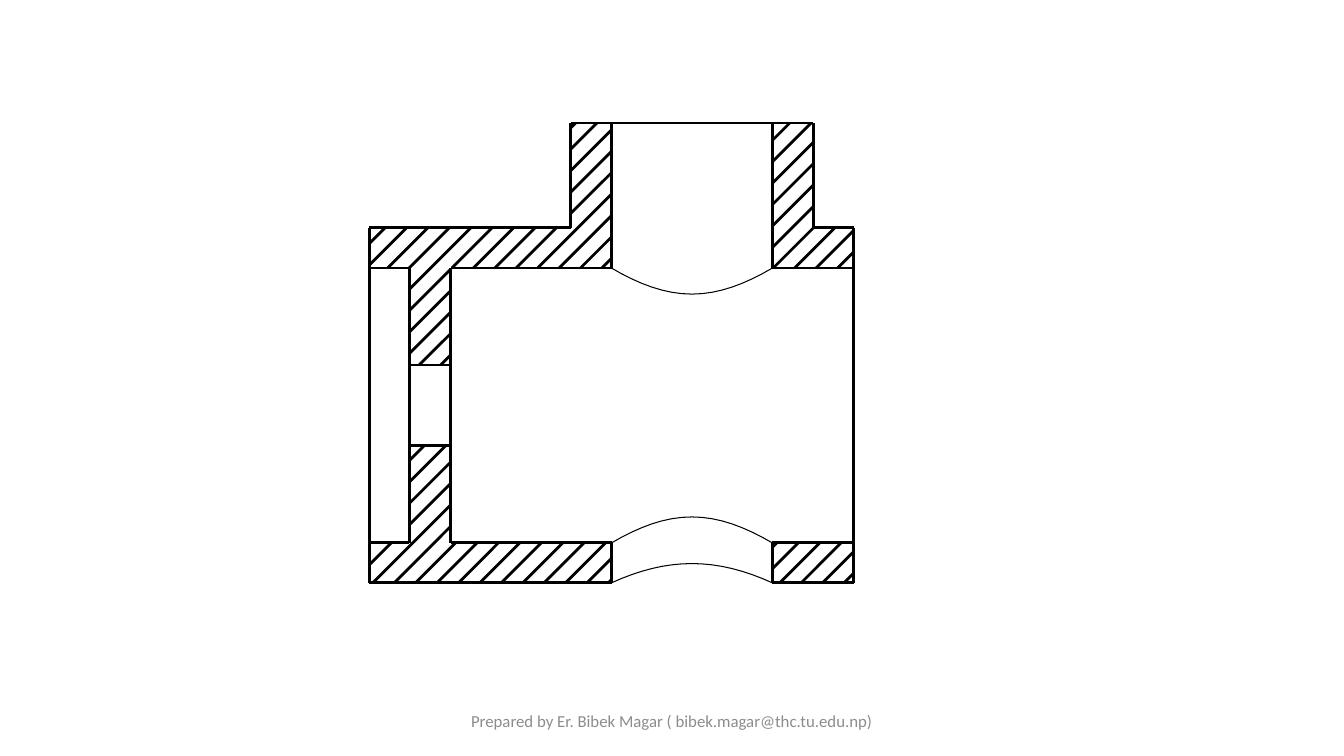
from dataclasses import dataclass
from itertools import pairwise
from math import sqrt

from lxml import etree
from pptx import Presentation
from pptx.dml.color import RGBColor
from pptx.enum.shapes import MSO_CONNECTOR
from pptx.enum.text import MSO_ANCHOR, PP_ALIGN
from pptx.oxml.ns import qn
from pptx.slide import Slide
from pptx.util import Pt

STRAIGHT = MSO_CONNECTOR.STRAIGHT
MIDDLE = MSO_ANCHOR.MIDDLE
CENTER = PP_ALIGN.CENTER

Point = tuple[float, float]


@dataclass(frozen=True)
class Theme:
    ink: RGBColor = RGBColor(0x00, 0x00, 0x00)
    footer: RGBColor = RGBColor(0x8C, 0x8C, 0x8C)
    font: str = "Calibri"
    footer_size: float = 12
    line_width: float = 0


@dataclass(frozen=True)
class Curve:
    """Edge where the port meets the bore; its ends lie at end_y."""
    end_y: float


THEME = Theme()

# Vertical faces, left to right
BODY_L, WEB_L, WEB_R = 263.7, 292.5, 321.8
PORT_L, BORE_L, BORE_R, PORT_R, BODY_R = 407.7, 436.8, 551.7, 581, 609.8
# Horizontal faces, top to bottom
PORT_TOP, BODY_TOP, CAVITY_TOP = 87.9, 162.7, 191.5
HOLE_TOP, HOLE_BOTTOM = 260.7, 318
CAVITY_BOTTOM, BODY_BOTTOM = 387.8, 416.3

# Cut sections: each path starts and ends on an outer wall of the body
SECTIONS: list[list[Point]] = [
    [(BODY_L, CAVITY_TOP), (WEB_L, CAVITY_TOP), (WEB_L, HOLE_TOP),
     (WEB_R, HOLE_TOP), (WEB_R, CAVITY_TOP), (BORE_L, CAVITY_TOP),
     (BORE_L, PORT_TOP), (PORT_L, PORT_TOP), (PORT_L, BODY_TOP),
     (BODY_L, BODY_TOP)],
    [(BODY_L, CAVITY_BOTTOM), (WEB_L, CAVITY_BOTTOM), (WEB_L, HOLE_BOTTOM),
     (WEB_R, HOLE_BOTTOM), (WEB_R, CAVITY_BOTTOM), (BORE_L, CAVITY_BOTTOM),
     (BORE_L, BODY_BOTTOM), (BODY_L, BODY_BOTTOM)],
    [(BODY_R, BODY_TOP), (PORT_R, BODY_TOP), (PORT_R, PORT_TOP),
     (BORE_R, PORT_TOP), (BORE_R, CAVITY_TOP), (BODY_R, CAVITY_TOP)],
    [(BODY_R, CAVITY_BOTTOM), (BORE_R, CAVITY_BOTTOM),
     (BORE_R, BODY_BOTTOM), (BODY_R, BODY_BOTTOM)],
]

VISIBLE_EDGES: list[tuple[Point, Point]] = [
    ((BODY_L, BODY_TOP), (BODY_L, BODY_BOTTOM)),
    ((BODY_R, BODY_TOP), (BODY_R, BODY_BOTTOM)),
    ((BORE_L, PORT_TOP), (BORE_R, PORT_TOP)),
    ((WEB_L, HOLE_TOP), (WEB_L, HOLE_BOTTOM)),
    ((WEB_R, HOLE_TOP), (WEB_R, HOLE_BOTTOM)),
]

CURVES = [Curve(CAVITY_TOP), Curve(CAVITY_BOTTOM), Curve(BODY_BOTTOM)]
CURVE_STEPS = 16

# Hatch lines run at 45 degrees, along x + y = HATCH_START + n * HATCH_PITCH
HATCH_START, HATCH_PITCH, HATCH_COUNT = 437.8, 15.3, 39


def add_line(s: Slide, start: Point, end: Point) -> None:
    line = s.shapes.add_connector(STRAIGHT, *map(Pt, start + end))
    line.line.color.rgb = THEME.ink
    line.line.width = Pt(THEME.line_width)
    etree.SubElement(line._element.spPr, qn("a:effectLst"))


def hatch_segments(section: list[Point], level: float) -> list[tuple[Point, Point]]:
    """Parts of the line x + y = level that lie inside the section."""
    crossings = []
    for (x1, y1), (x2, y2) in pairwise(section + section[:1]):
        d1, d2 = x1 + y1 - level, x2 + y2 - level
        if (d1 < 0) != (d2 < 0):
            t = d1 / (d1 - d2)
            crossings.append((x1 + t * (x2 - x1), y1 + t * (y2 - y1)))
    crossings.sort()
    return list(zip(crossings[::2], crossings[1::2]))


def add_section(s: Slide, section: list[Point]) -> None:
    for n in range(HATCH_COUNT):
        for start, end in hatch_segments(section, HATCH_START + n * HATCH_PITCH):
            add_line(s, start, end)
    for start, end in pairwise(section):
        add_line(s, start, end)


def add_curve(s: Slide, curve: Curve) -> None:
    """Draw a hyperbola about the body axis, centred on the port."""
    axis_y = (BODY_TOP + BODY_BOTTOM) / 2
    half = (BORE_R - BORE_L) / 2
    end_height = abs(curve.end_y - axis_y)
    side = 1 if curve.end_y > axis_y else -1
    points = []
    for i in range(CURVE_STEPS + 1):
        dx = half * (2 * i / CURVE_STEPS - 1)
        height = sqrt(end_height**2 - half**2 + dx**2)
        points.append((Pt(BORE_L + half + dx), Pt(axis_y + side * height)))
    builder = s.shapes.build_freeform(*points[0])
    builder.add_line_segments(points[1:], close=False)
    sp = builder.convert_to_shape()
    sp.shadow.inherit = False
    sp.fill.background()
    sp.line.color.rgb = THEME.ink
    sp.line.width = Pt(THEME.line_width)


def add_footer(s: Slide, text: str) -> None:
    sp = s.shapes.add_textbox(Pt(318), Pt(500.5), Pt(324), Pt(28.75))
    tf = sp.text_frame
    tf.word_wrap = True
    tf.vertical_anchor = MIDDLE
    tf.text = text
    p = tf.paragraphs[0]
    p.alignment = CENTER
    r = p.runs[0]
    r.font.name = THEME.font
    r.font.size = Pt(THEME.footer_size)
    r.font.color.rgb = THEME.footer


def main() -> None:
    prs = Presentation()
    prs.slide_width, prs.slide_height = Pt(960), Pt(540)
    s = prs.slides.add_slide(prs.slide_layouts[6])
    add_footer(s, "Prepared by Er. Bibek Magar ( bibek.magar@thc.tu.edu.np)")
    for section in SECTIONS:
        add_section(s, section)
    for start, end in VISIBLE_EDGES:
        add_line(s, start, end)
    for curve in CURVES:
        add_curve(s, curve)
    prs.save("out.pptx")


if __name__ == "__main__":
    main()
